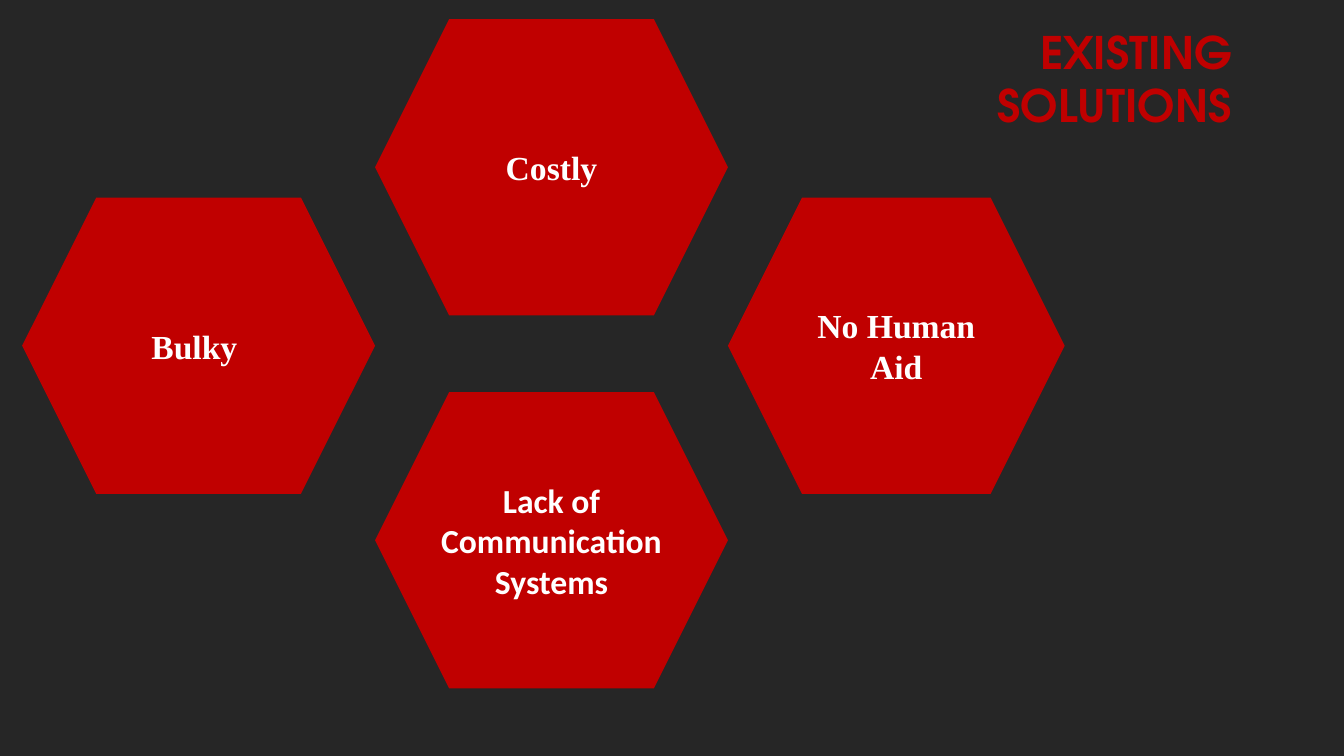
from pptx import Presentation
from pptx.dml.color import RGBColor
from pptx.enum.shapes import MSO_SHAPE
from pptx.enum.text import MSO_ANCHOR, PP_ALIGN
from pptx.util import Inches, Pt

HEXAGON = MSO_SHAPE.HEXAGON
TOP, MIDDLE = MSO_ANCHOR.TOP, MSO_ANCHOR.MIDDLE
CENTER, RIGHT = PP_ALIGN.CENTER, PP_ALIGN.RIGHT

COLORS = {"background": "262626", "red": "C00000", "white": "FFFFFF"}
SERIF, SANS, DISPLAY = "Times New Roman", "Calibri", "TeX Gyre Adventor"

HEX_W, HEX_H = 3.5, 2.94
LEFT, UPPER, MID, LOWER = 0.22, 0.19, 1.96, 3.89
PROBLEMS = [
    ("Lack of Communication Systems", 1, LOWER, HEX_W, SANS),
    ("Costly", 1, UPPER, HEX_W, SERIF),
    ("Bulky ", 0, MID, HEX_W, SERIF),
    ("No Human Aid", 2, MID, 3.34, SERIF),
]


def rgb(name):
    return RGBColor.from_string(COLORS[name])


def write(sp, text, font, size, color, align, anchor):
    tf = sp.text_frame
    tf.text = text
    tf.word_wrap = True
    tf.vertical_anchor = anchor
    p = tf.paragraphs[0]
    p.alignment = align
    r = p.runs[0]
    r.font.name = font
    r.font.size = Pt(size)
    r.font.bold = True
    r.font.color.rgb = rgb(color)


def add_title(s, x, y, w, h):
    sp = s.shapes.title
    sp.left, sp.top, sp.width, sp.height = map(Inches, (x, y, w, h))
    write(sp, "EXISTING SOLUTIONS", DISPLAY, 32, "red", RIGHT, TOP)


def add_hexagon(s, x, y, w, h, text, font):
    sp = s.shapes.add_shape(HEXAGON, Inches(x), Inches(y), Inches(w), Inches(h))
    sp.shadow.inherit = False
    sp.fill.solid()
    sp.fill.fore_color.rgb = rgb("red")
    sp.line.fill.background()
    write(sp, text, font, 24, "white", CENTER, MIDDLE)


def add_problems(s, x):
    for text, col, y, w, font in PROBLEMS:
        add_hexagon(s, x + col * HEX_W, y, w, HEX_H, text, font)


def main():
    prs = Presentation()
    prs.slide_width, prs.slide_height = Inches(13.33), Inches(7.5)
    s = prs.slides.add_slide(prs.slide_layouts[5])
    s.background.fill.solid()
    s.background.fill.fore_color.rgb = rgb("background")
    add_problems(s, LEFT)
    add_title(s, 7.83, UPPER, 4.49, 1.18)
    prs.save("out.pptx")


if __name__ == "__main__":
    main()
